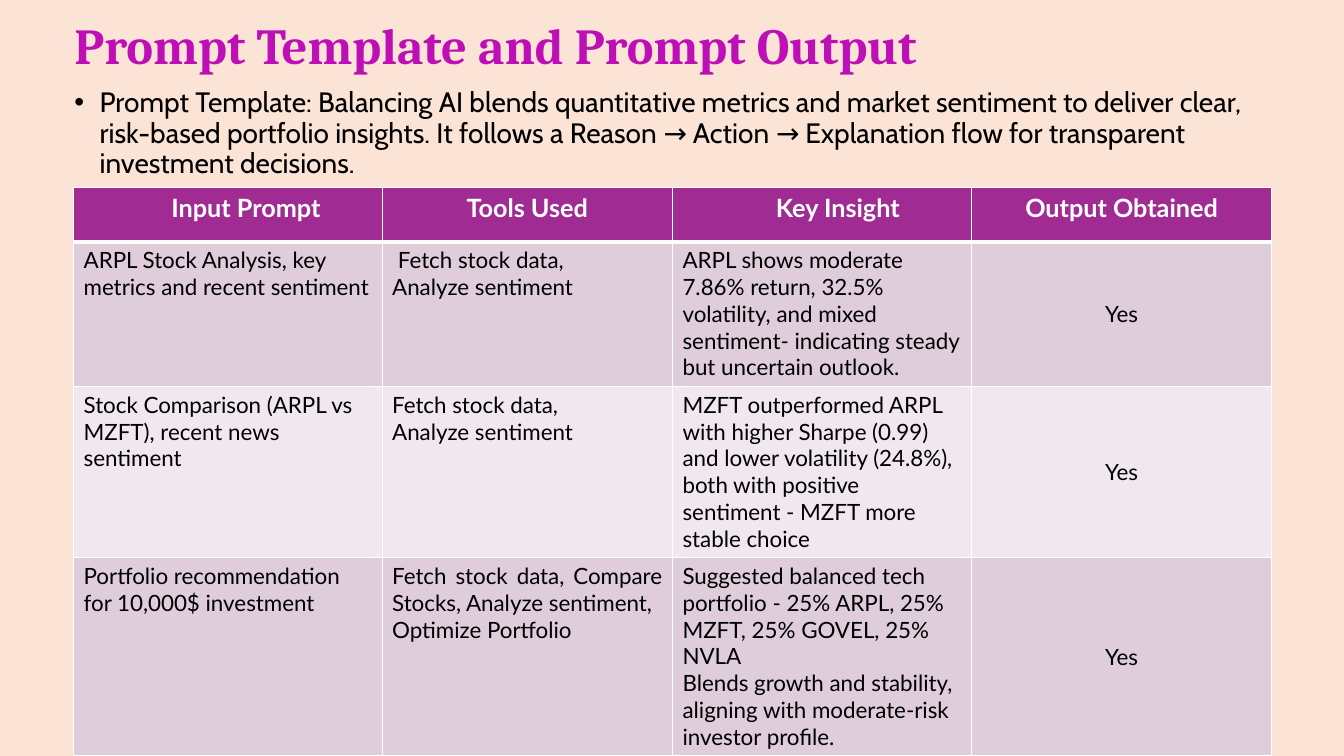
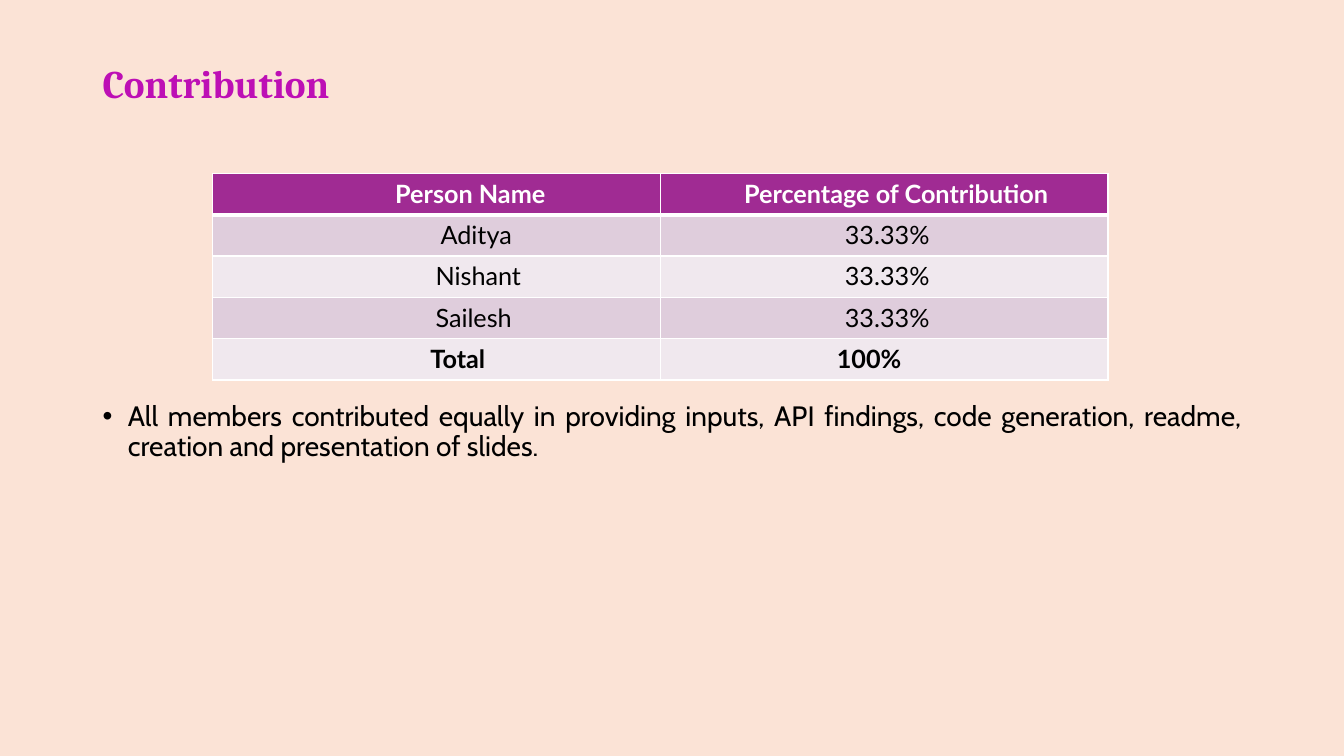
from lxml.etree import SubElement
from pptx import Presentation
from pptx.dml.color import RGBColor
from pptx.enum.text import MSO_ANCHOR, PP_ALIGN
from pptx.oxml.ns import qn
from pptx.util import Inches, Pt

COLORS = {
    "background": "FBE3D6",
    "title": "BD0FB5",
    "header": "A02B93",
    "odd_row": "DFCDDC",
    "even_row": "F0E8EE",
    "text": "000000",
    "white": "FFFFFF",
}
FONTS = {
    "title": {"name": "Cambria", "bold": True},
    "bullet": {"name": "Cabin", "size": Pt(20), "bold": False},
    "header": {"name": "Lato", "size": Pt(18), "bold": True},
    "cell": {"name": "Lato", "bold": False},
}
BODY_SPACING = {"line_spacing": 0.9, "space_before": Pt(0)}
CELL_MARGIN = 0.1


def color(name):
    return RGBColor.from_string(COLORS[name])


def apply_format(target, values):
    for name, value in values.items():
        setattr(target, name, value)


class Deck:
    def __init__(self):
        self.presentation = Presentation()
        self.presentation.slide_width = Inches(13.33)
        self.presentation.slide_height = Inches(7.5)
        fill = self.presentation.slide_master.background.fill
        fill.solid()
        fill.fore_color.rgb = color("background")
        self.slide = None

    def add_slide(self):
        layout = self.presentation.slide_layouts[6]
        self.slide = self.presentation.slides.add_slide(layout)

    def add_text(self, paragraph, text, font, color_name, **changes):
        run = paragraph.add_run()
        run.text = text
        apply_format(run.font, {**FONTS[font], **changes})
        run.font.color.rgb = color(color_name)

    def add_paragraph_box(self, left, top, width, height):
        shape = self.slide.shapes.add_textbox(
            Inches(left), Inches(top), Inches(width), Inches(height)
        )
        shape.text_frame.word_wrap = True
        paragraph = shape.text_frame.paragraphs[0]
        apply_format(paragraph, BODY_SPACING)
        return paragraph

    def add_title(self, text, left, top, width, size):
        paragraph = self.add_paragraph_box(left, top, width, 0.65)
        self.add_text(paragraph, text, "title", "title", size=Pt(size))

    def add_bullet(self, text, left, top, width, height, alignment=PP_ALIGN.LEFT):
        paragraph = self.add_paragraph_box(left, top, width, height)
        paragraph.alignment = alignment
        properties = paragraph._p.get_or_add_pPr()
        properties.set("marL", str(Inches(0.25)))
        properties.set("indent", str(-Inches(0.25)))
        SubElement(properties, qn("a:buFont")).set("typeface", "Arial")
        SubElement(properties, qn("a:buChar")).set("char", "•")
        self.add_text(paragraph, text, "bullet", "text")

    def add_table(self, left, top, widths, heights):
        frame = self.slide.shapes.add_table(
            len(heights), len(widths), Inches(left), Inches(top),
            Inches(sum(widths)), Inches(sum(heights)),
        )
        table = frame.table
        for column, width in zip(table.columns, widths):
            column.width = Inches(width)
        for row, height in zip(table.rows, heights):
            row.height = Inches(height)
        for row_index, row in enumerate(table.rows):
            for cell in row.cells:
                self.style_cell(cell, row_index)
        return table

    def style_cell(self, cell, row_index):
        properties = cell._tc.get_or_add_tcPr()
        thick_side = {0: "B", 1: "T"}.get(row_index)
        for side in "LRTB":
            points = 3 if side == thick_side else 1
            line = SubElement(properties, qn(f"a:ln{side}"), w=str(Pt(points)))
            line_fill = SubElement(line, qn("a:solidFill"))
            SubElement(line_fill, qn("a:srgbClr"), val=COLORS["white"])
        cell.fill.solid()
        banding = "odd_row" if row_index % 2 else "even_row"
        cell.fill.fore_color.rgb = color(banding if row_index else "header")

    def fill_cell(self, cell, lines, font="cell", color_name="text", indent=0,
                  alignment=PP_ALIGN.LEFT, anchor=MSO_ANCHOR.TOP, **changes):
        cell.margin_left = Inches(CELL_MARGIN + indent)
        cell.vertical_anchor = anchor
        for index, text in enumerate(lines.split("\n")):
            frame = cell.text_frame
            paragraph = frame.add_paragraph() if index else frame.paragraphs[0]
            paragraph.alignment = alignment
            self.add_text(paragraph, text, font, color_name, **changes)


def add_prompt_slide(deck):
    deck.add_slide()
    deck.add_title("Prompt Template and Prompt Output", 0.64, 0.16, 11.88, 36)
    deck.add_bullet(
        "Prompt Template: Balancing AI blends quantitative metrics and market "
        "sentiment to deliver clear, risk-based portfolio insights. It follows a "
        "Reason → Action → Explanation flow for transparent investment decisions.",
        0.64, 0.83, 11.88, 1,
    )
    table = deck.add_table(
        0.73, 1.86, [3.06, 2.88, 2.97, 2.97], [0.54, 1.43, 1.69, 1.95]
    )
    headers = [("Input Prompt", 0.36), ("Tools Used", 0),
               ("Key Insight", 0.31), ("Output Obtained", 0)]
    for column, (text, indent) in enumerate(headers):
        deck.fill_cell(table.cell(0, column), text, "header", "white",
                       indent, PP_ALIGN.CENTER)
    prompts = [
        ("ARPL Stock Analysis, key metrics and recent sentiment",
         " Fetch stock data,\nAnalyze sentiment",
         "ARPL shows moderate 7.86% return, 32.5% volatility, and mixed "
         "sentiment- indicating steady but uncertain outlook.",
         "Yes"),
        ("Stock Comparison (ARPL vs MZFT), recent news sentiment",
         "Fetch stock data,\nAnalyze sentiment",
         "MZFT outperformed ARPL with higher Sharpe (0.99) and lower volatility "
         "(24.8%), both with positive sentiment - MZFT more stable choice",
         "Yes"),
        ("Portfolio recommendation for 10,000$ investment",
         "Fetch stock data, Compare Stocks, Analyze sentiment,\nOptimize Portfolio",
         "Suggested balanced tech portfolio - 25% ARPL, 25% MZFT, 25% GOVEL, "
         "25% NVLA\nBlends growth and stability, aligning with moderate-risk "
         "investor profile.",
         "Yes"),
    ]
    column_formats = [
        {},
        {"alignment": PP_ALIGN.JUSTIFY},
        {},
        {"alignment": PP_ALIGN.CENTER, "anchor": MSO_ANCHOR.MIDDLE},
    ]
    for row, texts in enumerate(prompts, start=1):
        for column, text in enumerate(texts):
            deck.fill_cell(table.cell(row, column), text, size=Pt(16),
                           **column_formats[column])


def add_contribution_slide(deck):
    deck.add_slide()
    deck.add_title("Contribution", 0.92, 0.59, 11.5, 28)
    contributions = [
        ("Person Name", 1.71, "Percentage of Contribution", 0.73),
        ("Aditya", 2.16, "33.33%", 1.73),
        ("Nishant", 2.11, "33.33%", 1.73),
        ("Sailesh", 2.11, "33.33%", 1.73),
        ("Total", 2.06, "100%", 1.65),
    ]
    table = deck.add_table(2.11, 1.72, [4.44] * 2, [0.41] * len(contributions))
    last_row = len(contributions) - 1
    for row, (person, person_indent, share, share_indent) in enumerate(contributions):
        font, color_name = ("cell", "text") if row else ("header", "white")
        cells = [(person, person_indent), (share, share_indent)]
        for column, (text, indent) in enumerate(cells):
            deck.fill_cell(table.cell(row, column), text, font, color_name, indent,
                           size=Pt(18), bold=row in (0, last_row))
    deck.add_bullet(
        "All members contributed equally in providing inputs, API findings, code "
        "generation, readme, creation and presentation of slides.",
        0.92, 3.94, 11.5, 0.8, PP_ALIGN.JUSTIFY,
    )


def main():
    deck = Deck()
    add_prompt_slide(deck)
    add_contribution_slide(deck)
    deck.presentation.save("out.pptx")


if __name__ == "__main__":
    main()
